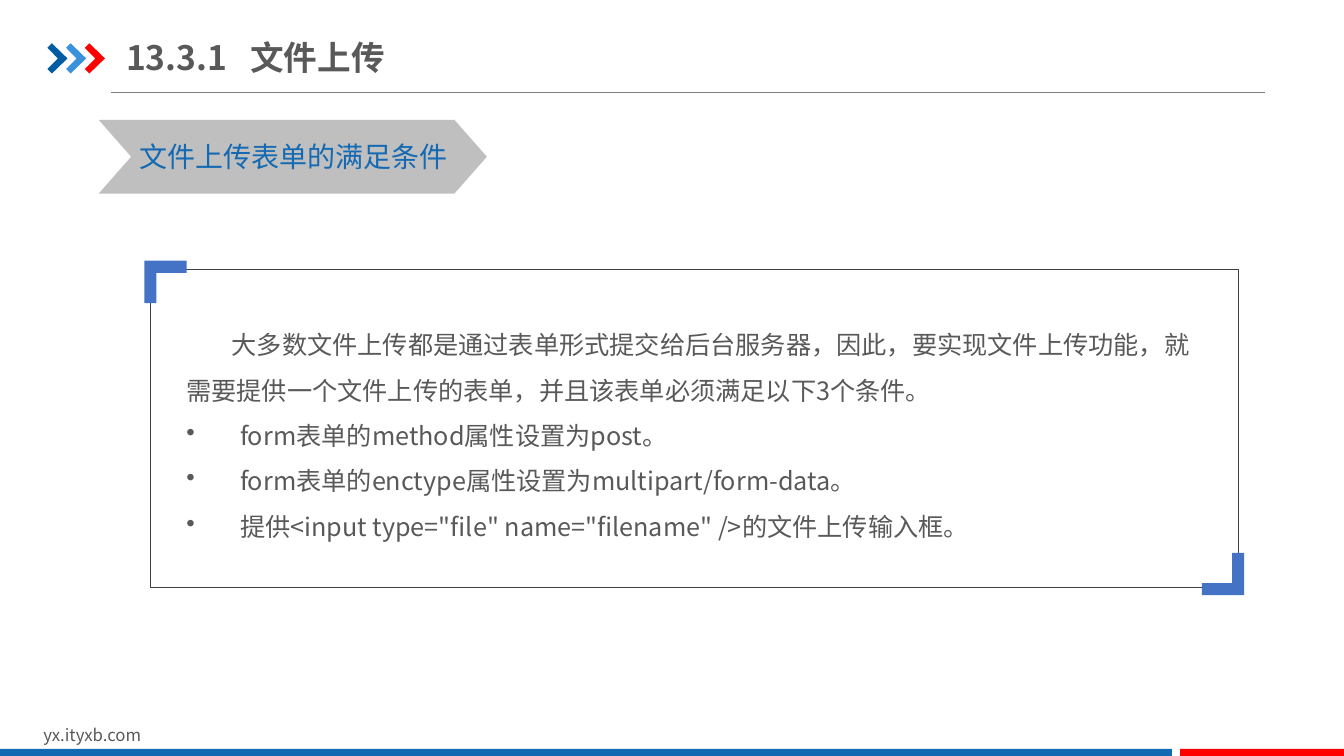
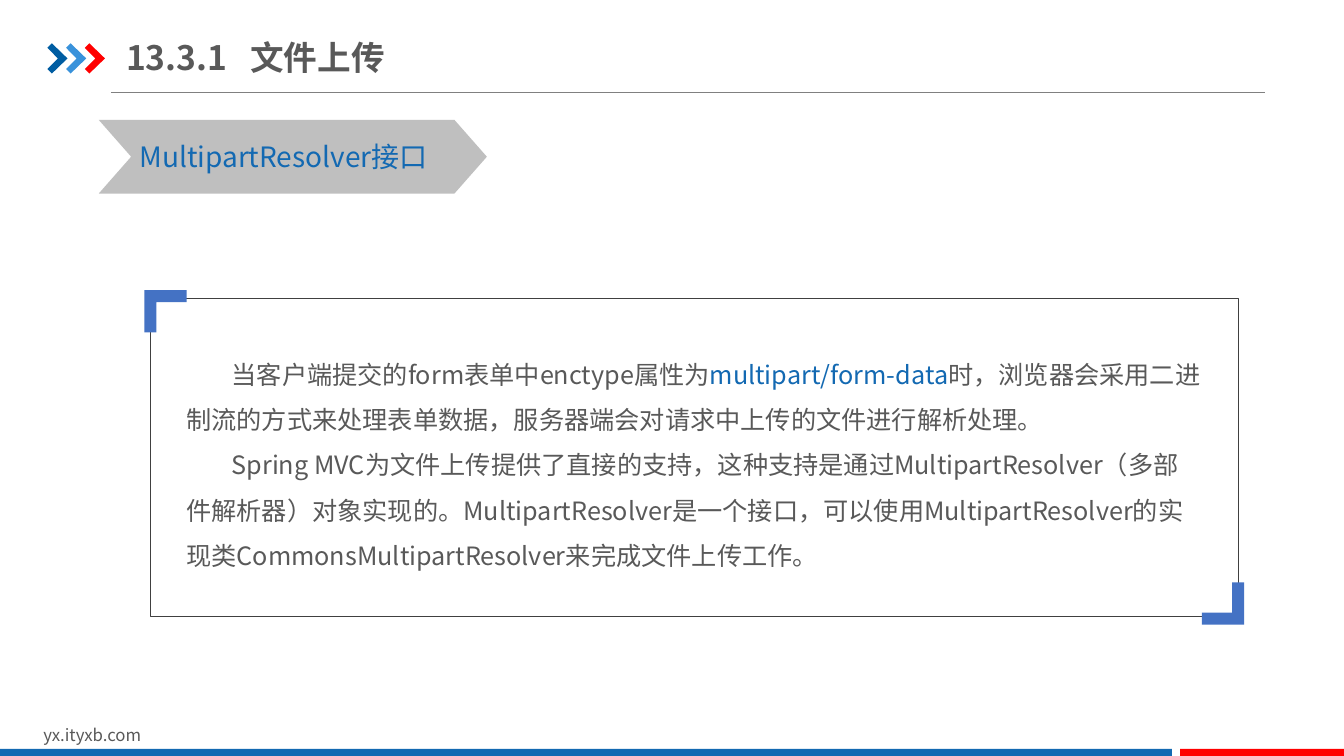
from dataclasses import dataclass

from lxml import etree
from pptx import Presentation
from pptx.dml.color import RGBColor
from pptx.enum.shapes import MSO_CONNECTOR, MSO_SHAPE
from pptx.enum.text import MSO_ANCHOR, MSO_AUTO_SIZE, PP_ALIGN
from pptx.oxml.ns import qn
from pptx.util import Inches, Pt

RECT, CHEVRON = MSO_SHAPE.RECTANGLE, MSO_SHAPE.CHEVRON
STRAIGHT, LEFT = MSO_CONNECTOR.STRAIGHT, PP_ALIGN.LEFT
MIDDLE, NO_FIT = MSO_ANCHOR.MIDDLE, MSO_AUTO_SIZE.NONE


@dataclass(frozen=True)
class Theme:
    font: str = "Noto Sans CJK SC"
    text: str = "595959"
    accent: str = "1369B2"
    red: str = "FF0000"
    arrows: tuple = ("005DA2", "3992DB", "FF0000")
    rule: str = "808080"
    banner: str = "BFBFBF"
    frame: str = "404040"
    corner: str = "4472C4"
    title_size: int = 24
    banner_size: int = 20
    body_size: int = 18
    footer_size: int = 12


T = Theme()
COLS, ROWS = 160, 90
TITLE = "13.3.1\t文件上传"

# Frame, body and corner geometry in grid units
FRAME_X, FRAME_W, FRAME_H = 17.9, 129.5, 37.9
CORNER, THICK, OUT_X, OUT_Y = 5.04, 1.44, 0.72, 0.96
FIRST_LINE, HANGING = 5.4, 6.4

# Each paragraph: is it a bullet, then its pieces; every second piece is accented
SLIDES = [
    ("文件上传表单的满足条件", 32, [
        (False, ["大多数文件上传都是通过表单形式提交给后台服务器，因此，要实现文件上传功能，"
                 "就需要提供一个文件上传的表单，并且该表单必须满足以下3个条件。"]),
        (True, ["form表单的method属性设置为post。"]),
        (True, ["form表单的enctype属性设置为multipart/form-data。"]),
        (True, ['提供<input type="file" name="filename" />的文件上传输入框。']),
    ]),
    ("MultipartResolver接口", 35.5, [
        (False, ["当客户端提交的form表单中enctype属性为", "multipart/form-data",
                 "时，浏览器会采用二进制流的方式来处理表单数据，"
                 "服务器端会对请求中上传的文件进行解析处理。"]),
        (False, ["Spring MVC为文件上传提供了直接的支持，这种支持是通过MultipartResolver"
                 "（多部件解析器）对象实现的。MultipartResolver是一个接口，可以使用"
                 "MultipartResolver的实现类CommonsMultipartResolver来完成文件上传工作。"]),
    ]),
]

prs = Presentation()
prs.slide_width, prs.slide_height = Inches(13.333), Inches(7.5)
UNIT = prs.slide_height / ROWS
layout = prs.slide_layouts[5]


def grid(*lengths):
    return [round(n * UNIT) for n in lengths]


def finish(item, fill=None, size=None, color=T.text, bold=False):
    """Paint a shape, or set the type of a paragraph when a size is given."""
    if size is None:
        item.shadow.inherit = False
        item.line.fill.background()
        if fill:
            item.fill.solid()
            item.fill.fore_color.rgb = RGBColor.from_string(fill)
        else:
            item.fill.background()
        return
    for r in item.runs:
        r.font.name, r.font.size, r.font.bold = T.font, Pt(size), bold
        r.font.color.rgb = RGBColor.from_string(color)
        etree.SubElement(r.font._element, qn("a:ea"), typeface=T.font)


for i, (banner_text, top, paragraphs) in enumerate(SLIDES):
    s = prs.slides.add_slide(layout)

    # Shared parts: drawn with the first slide, then moved to the layout
    if i == 0:
        for ph in list(layout.placeholders)[1:]:
            ph.element.getparent().remove(ph.element)
        shared = []
        for n, color in enumerate(T.arrows):
            x, y = 5.64 + 2.23 * n, 5.16
            points = [grid(x + dx, y + dy) for dx, dy in (
                (0, 0.54), (0.54, 0), (2.4, 1.8), (0.54, 3.6), (0, 3.06), (1.26, 1.8))]
            fb = s.shapes.build_freeform(*points[0])
            fb.add_line_segments(points[1:])
            shared.append(fb.convert_to_shape())
            finish(shared[-1], color)
        for left, right, color in ((0, 139.5, T.accent), (140.5, COLS, T.red)):
            shared.append(s.shapes.add_shape(RECT, *grid(left, 89.16, right - left, 0.84)))
            finish(shared[-1], color)
        rule = s.shapes.add_connector(STRAIGHT, *grid(13.2, 10.95, 150.6, 10.95))
        rule.line.color.rgb, rule.line.width = RGBColor.from_string(T.rule), Pt(0.5)
        etree.SubElement(rule.element.spPr, qn("a:effectLst"))
        footer = s.shapes.add_textbox(*grid(4, 85.7, 38.2, 3.6))
        footer.text_frame.word_wrap = True
        footer.text_frame.text = "yx.ityxb.com"
        finish(footer.text_frame.paragraphs[0], size=T.footer_size)
        for sp in shared + [rule, footer]:
            layout.shapes.element.append(sp.element)

    # Title
    title = s.shapes.title
    title.left, title.top, title.width, title.height = grid(15, 3.5, 35.6, 6.6)
    tf = title.text_frame
    tf.margin_left = tf.margin_right = 0
    tf.vertical_anchor, tf.auto_size, tf.word_wrap = MIDDLE, NO_FIT, True
    tf.text = TITLE
    p = tf.paragraphs[0]
    p.alignment = LEFT
    tabs = etree.SubElement(p._p.get_or_add_pPr(), qn("a:tabLst"))
    etree.SubElement(tabs, qn("a:tab"), pos=str(grid(14.8)[0]), algn="l")
    finish(p, size=T.title_size, bold=True)

    # Section banner
    banner = s.shapes.add_shape(CHEVRON, *grid(11.76, 14.28, 46.2, 8.76))
    banner.adjustments[0] = 0.44
    finish(banner, T.banner)
    label = s.shapes.add_textbox(*grid(15.4, 16, 40.4, 5.3))
    label.text_frame.word_wrap = True
    label.text_frame.text = banner_text
    finish(label.text_frame.paragraphs[0], size=T.banner_size, color=T.accent)

    # Body text
    body = s.shapes.add_textbox(*grid(21, top + 4.85, 123.2, 29.4))
    tf = body.text_frame
    tf.word_wrap = True
    for n, (bullet, pieces) in enumerate(paragraphs):
        p = tf.add_paragraph() if n else tf.paragraphs[0]
        p.line_spacing = 1.5
        pPr = p._p.get_or_add_pPr()
        margin, indent = grid(HANGING, -HANGING) if bullet else grid(0, FIRST_LINE)
        pPr.set("marL", str(margin))
        pPr.set("indent", str(indent))
        if bullet:
            etree.SubElement(pPr, qn("a:buChar"), char="•")
        for piece in pieces:
            p.add_run().text = piece
        finish(p, size=T.body_size)
        for r in p.runs[1::2]:
            r.font.color.rgb = RGBColor.from_string(T.accent)

    # Frame with its two corner marks
    frame = s.shapes.add_shape(RECT, *grid(FRAME_X, top, FRAME_W, FRAME_H))
    finish(frame)
    frame.line.color.rgb, frame.line.width = RGBColor.from_string(T.frame), Pt(0.25)
    for x, y, d in ((FRAME_X - OUT_X, top - OUT_Y, 1),
                    (FRAME_X + FRAME_W + OUT_X, top + FRAME_H + OUT_Y, -1)):
        points = [grid(x + d * dx, y + d * dy) for dx, dy in (
            (0, 0), (CORNER, 0), (CORNER, THICK), (THICK, THICK), (THICK, CORNER), (0, CORNER))]
        fb = s.shapes.build_freeform(*points[0])
        fb.add_line_segments(points[1:])
        finish(fb.convert_to_shape(), T.corner)

prs.save("out.pptx")
